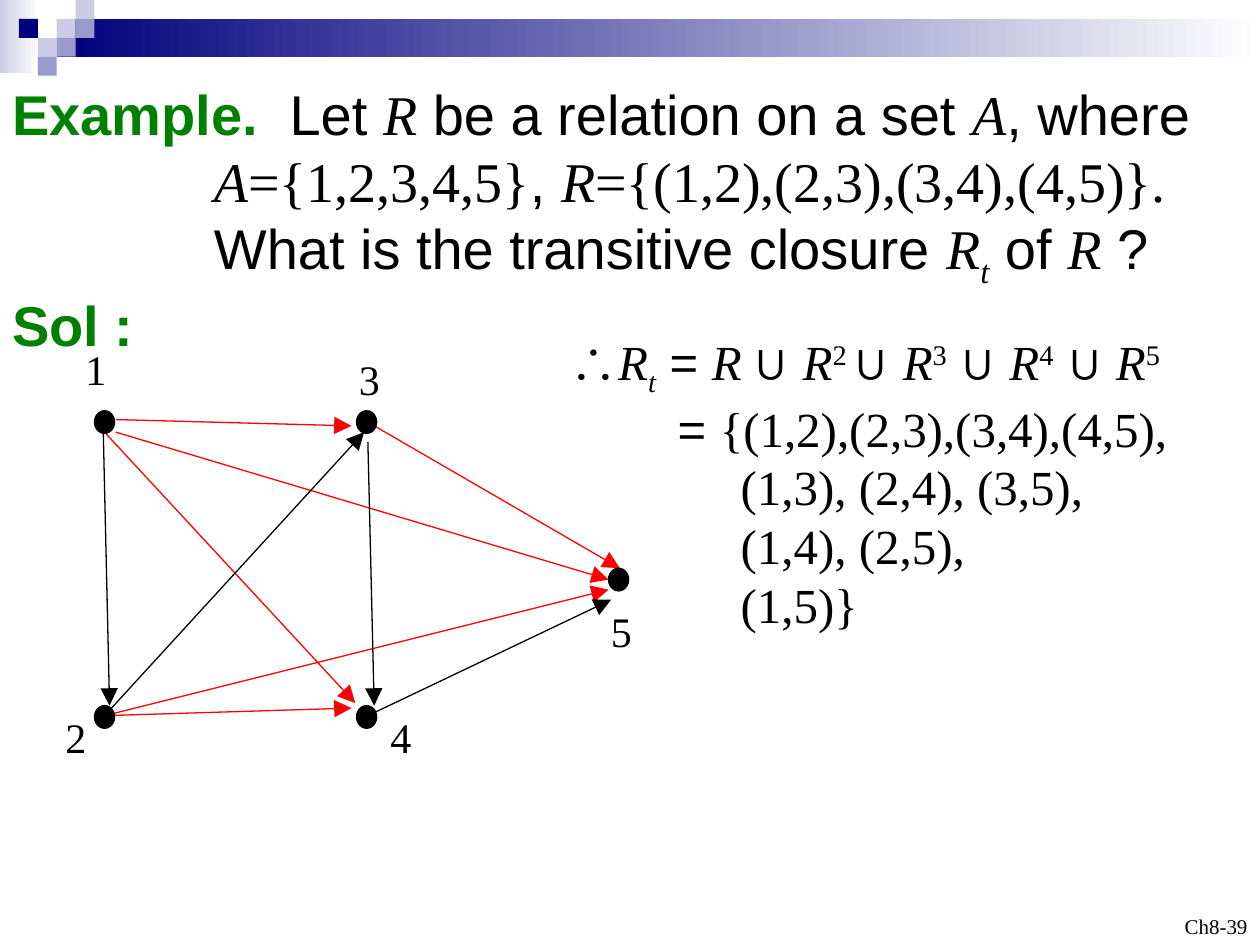
"""Build a slide on the transitive closure of a relation, with its directed graph."""
from lxml import etree
from pptx import Presentation
from pptx.dml.color import RGBColor
from pptx.enum.shapes import MSO_CONNECTOR, MSO_SHAPE
from pptx.enum.text import MSO_ANCHOR, PP_ALIGN
from pptx.oxml.ns import qn
from pptx.util import Inches, Pt

SANS, SERIF = "Arial", "Times New Roman"
BLACK, RED, GREEN = "000000", "FF0000", "008000"
NAVY, LILAC, PALE, WHITE = "00007D", "9999CC", "CCCCE6", "FFFFFF"
STYLES = {
    "label": (SANS, False, 0),
    "sans": (SANS, False, 0),
    "serif": (SERIF, False, 0),
    "var": (SERIF, True, 0),
    "sub": (SERIF, True, -25000),
    "sup": (SERIF, False, 30000),
}


def color(value):
    """Turn a hex string into a colour."""
    return RGBColor.from_string(value)


def add_text(left, top, width, height, lines, size, wrap=True):
    """Add a text box; each line is (indent in inches, [(style, text), ...])."""
    frame = slide.shapes.add_textbox(
        Inches(left), Inches(top), Inches(width), Inches(height)).text_frame
    frame.word_wrap = wrap
    for index, (indent, parts) in enumerate(lines):
        paragraph = frame.add_paragraph() if index else frame.paragraphs[0]
        properties = paragraph._p.get_or_add_pPr()
        if indent:
            properties.set("marL", str(Inches(indent)))
        if any("\t" in text for style, text in parts):
            tabs = etree.SubElement(properties, qn("a:tabLst"))
            etree.SubElement(tabs, qn("a:tab"), pos=str(Inches(2.2)), algn="l")
        paragraph.font.size = Pt(size)
        fonts = {STYLES[style][0] for style, text in parts}
        if len(fonts) == 1:
            paragraph.font.name = fonts.pop()
        for style, text in parts:
            name, italic, baseline = STYLES[style]
            run = paragraph.add_run()
            run.text = text
            if not paragraph.font.name:
                run.font.name = name
            if italic:
                run.font.italic = True
            if baseline:
                run.font._element.set("baseline", str(baseline))
            if style == "label":
                run.font.bold = True
            run.font.color.rgb = color(GREEN if style == "label" else BLACK)
    return frame


prs = Presentation()
prs.slide_width, prs.slide_height = Inches(10), Inches(7.5)
slide = prs.slides.add_slide(prs.slide_layouts[6])

for left, top, width, height, start in [
    (0, 0, 0.31, 0.58, PALE),
    (0.45, 0.15, 9.55, 0.3, NAVY),
]:
    band = slide.shapes.add_shape(
        MSO_SHAPE.RECTANGLE, Inches(left), Inches(top), Inches(width), Inches(height))
    band.shadow.inherit = False
    band.line.fill.background()
    band.fill.gradient()
    band.fill.gradient_angle = 0
    for stop, shade in zip(band.fill.gradient_stops, (start, WHITE)):
        stop.color.rgb = color(shade)

TILE = 0.15
for column, row, shade in [
    (3, 1, PALE), (4, 0, PALE), (4, 1, LILAC), (2, 2, PALE),
    (1, 1, NAVY), (3, 2, LILAC), (2, 3, LILAC),
]:
    tile = slide.shapes.add_shape(
        MSO_SHAPE.RECTANGLE, Inches(column * TILE), Inches(row * TILE),
        Inches(TILE), Inches(TILE))
    tile.shadow.inherit = False
    tile.line.fill.background()
    tile.fill.solid()
    tile.fill.fore_color.rgb = color(shade)

page = add_text(7.67, 7, 2.33, 0.5, [(0, [("serif", "Ch8-39")])], 12)
page.vertical_anchor = MSO_ANCHOR.BOTTOM
page.paragraphs[0].alignment = PP_ALIGN.RIGHT

add_text(0, 0.58, 10, 2.23, [
    (0, [("label", "Example."), ("sans", "\tLet "), ("var", "R"),
         ("sans", " be a relation on a set "), ("var", "A"), ("sans", ", where")]),
    (1.6, [("var", "A"), ("serif", "={1,2,3,4,5}"), ("sans", ", "), ("var", "R"),
           ("serif", "={(1,2),(2,3),(3,4),(4,5)}.")]),
    (1.6, [("sans", "What is the transitive closure "), ("var", "R"), ("sub", "t"),
           ("sans", " of "), ("var", "R"), ("sans", " ?")]),
    (0, [("label", "Sol :")]),
], 32)

for x1, y1, x2, y2, shade in [
    (0.92, 3.33, 2.79, 3.38, RED),
    (0.83, 5.68, 2.79, 5.62, RED),
    (0.83, 3.43, 2.82, 5.58, RED),
    (0.92, 3.43, 4.83, 4.6, RED),
    (0.83, 5.68, 4.83, 4.68, RED),
    (2.92, 3.35, 4.92, 4.51, RED),
    (0.82, 3.43, 0.87, 5.6, BLACK),
    (0.83, 5.68, 2.89, 3.43, BLACK),
    (2.92, 3.51, 2.97, 5.6, BLACK),
    (2.92, 5.68, 4.85, 4.76, BLACK),
]:
    edge = slide.shapes.add_connector(
        MSO_CONNECTOR.STRAIGHT, Inches(x1), Inches(y1), Inches(x2), Inches(y2))
    edge.line.color.rgb = color(shade)
    edge.line.width = Pt(0.75)
    etree.SubElement(edge.line._get_or_add_ln(), qn("a:tailEnd"),
                     type="triangle", w="lg", len="lg")
    etree.SubElement(edge._element.spPr, qn("a:effectLst"))

union = [("var", "R"), ("sup", "2 "), ("sans", "∪ ")]
for power in "34":
    union += [("var", "R"), ("sup", power), ("sans", " ∪ ")]
add_text(4.42, 2.58, 5.33, 2.44, [
    (0, [("sans", "∴"), ("var", "R"), ("sub", "t"), ("sans", " = "), ("var", "R "),
         ("sans", "∪ "), *union, ("var", "R"), ("sup", "5")]),
    (0.86, [("sans", "= "), ("serif", "{(1,2),(2,3),(3,4),(4,5),")]),
    (1.36, [("serif", "(1,3), (2,4), (3,5),")]),
    (1.36, [("serif", "(1,4), (2,5),")]),
    (1.36, [("serif", "(1,5)}")]),
], 28)

for number, node_x, node_y, label_x, label_y in [
    ("1", 0.75, 3.26, 0.58, 2.68),
    ("3", 2.83, 3.26, 2.75, 2.76),
    ("5", 4.83, 4.51, 4.75, 4.76),
    ("2", 0.75, 5.6, 0.42, 5.6),
    ("4", 2.83, 5.6, 3, 5.6),
]:
    node = slide.shapes.add_shape(
        MSO_SHAPE.OVAL, Inches(node_x), Inches(node_y), Inches(0.16), Inches(0.18))
    node.shadow.inherit = False
    node.fill.solid()
    node.fill.fore_color.rgb = color(BLACK)
    node.line.color.rgb = color(BLACK)
    node.line.width = Pt(0.75)
    add_text(label_x, label_y, 0.37, 0.5, [(0, [("serif", number)])], 24, wrap=False)

prs.save("out.pptx")
